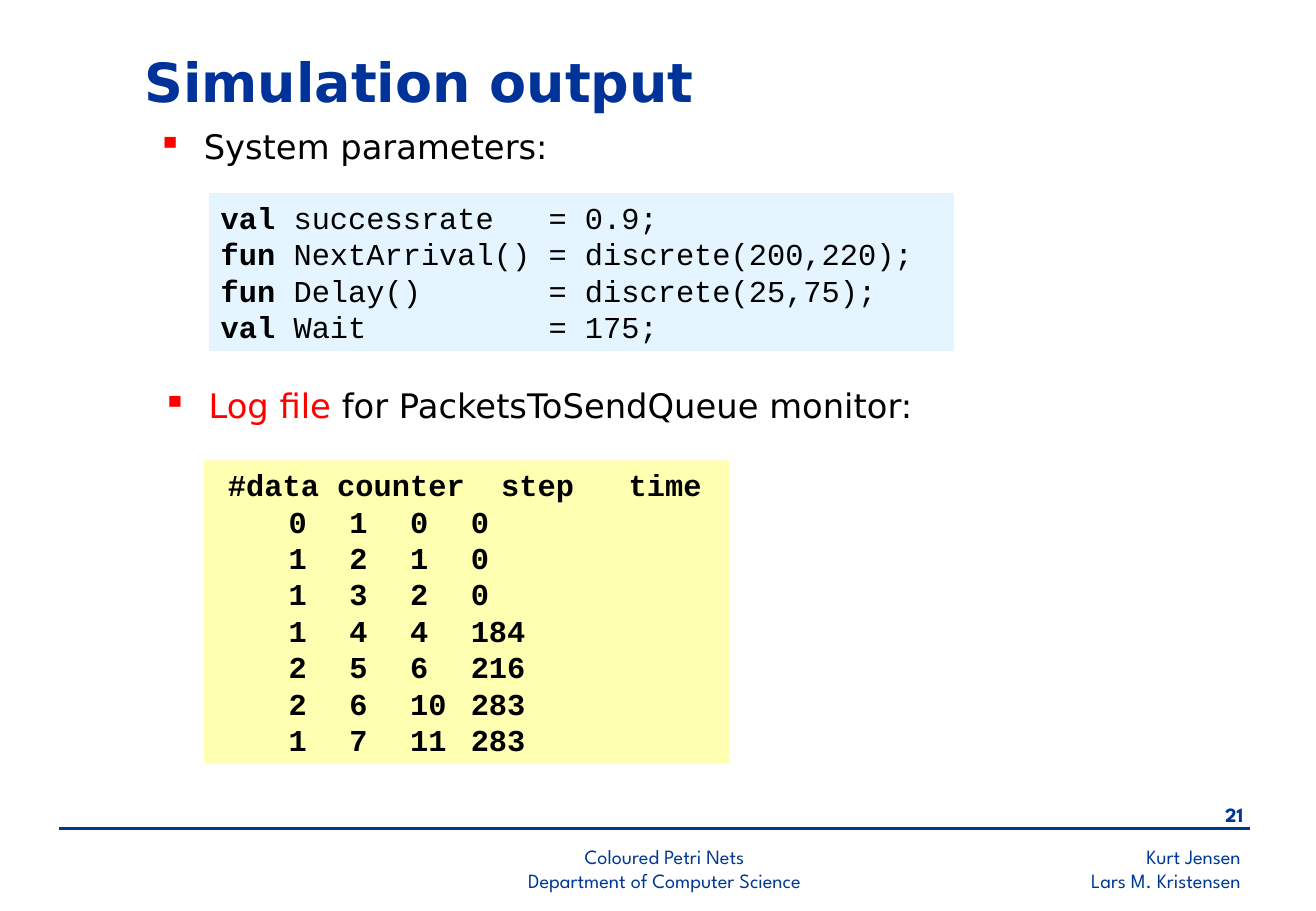
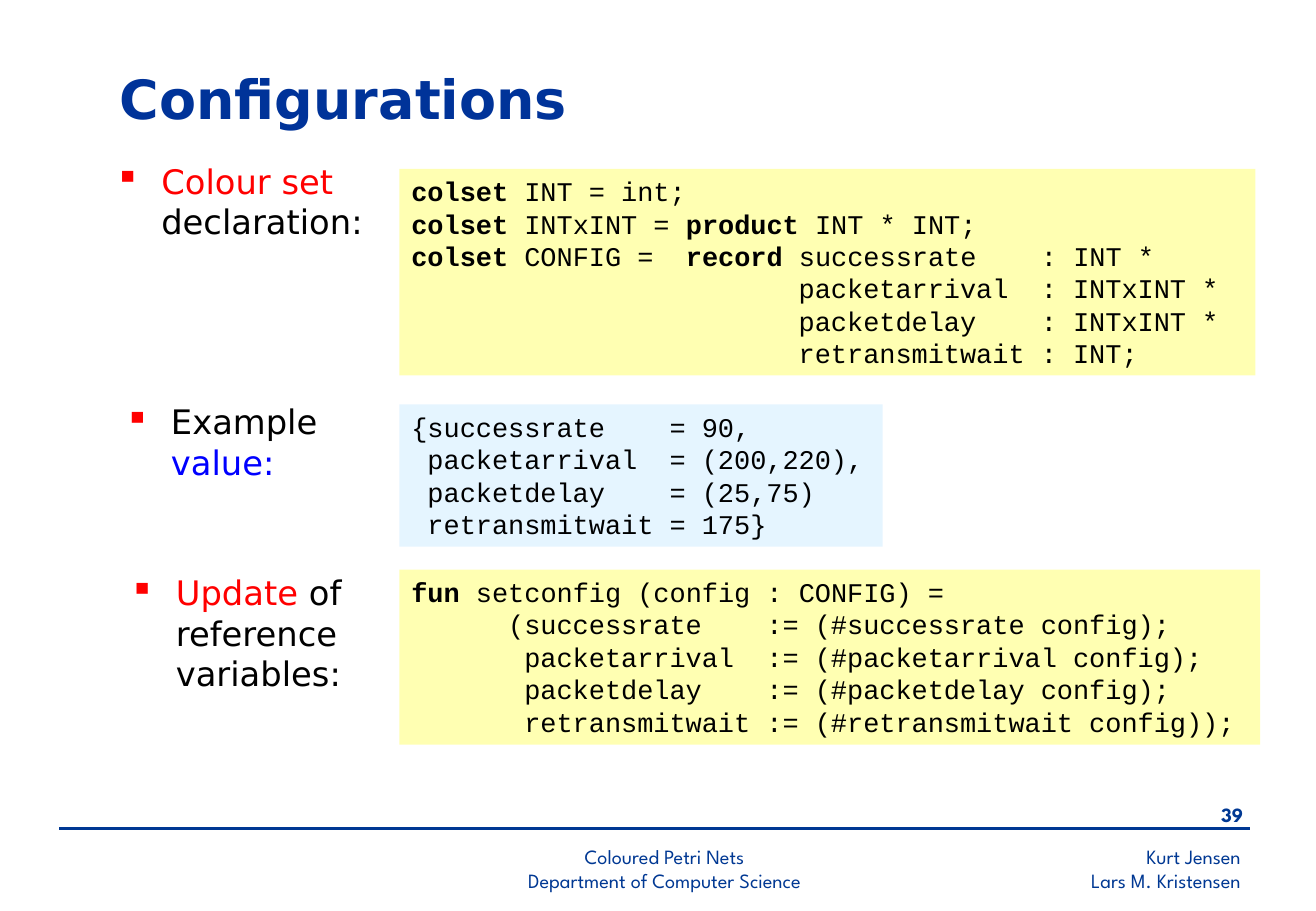
from lxml import etree
from pptx import Presentation
from pptx import util as u
from pptx.dml import color
from pptx.enum import shapes, text
from pptx.oxml import ns

COLOURS = {
    "footer": "003893",
    "title": "003399",
    "black": "000000",
    "red": "FF0000",
    "blue": "0000FF",
    "pale blue": "CCECFF",
    "yellow": "FFFF66",
}
BODY_FONT = "DejaVu Sans"
CODE_FONT = "Courier New"
FOOTER_FONT = "League Spartan"
LOG_TABS = [(0.39, "l"), (1.47, "l"), (2.75, "r"), (3.92, "r")]


def rgb(name):
    return color.RGBColor.from_string(COLOURS[name])


def add_element(parent, tag, **attributes):
    return etree.SubElement(parent, ns.qn(tag), attributes)


class Deck:
    def __init__(self):
        self.presentation = Presentation()
        self.presentation.slide_width = u.Inches(10.84)
        self.presentation.slide_height = u.Inches(7.5)
        self.slide = None

    def new_slide(self, number):
        self.slide = self.presentation.slides.add_slide(self.presentation.slide_layouts[6])
        right = text.PP_ALIGN.RIGHT
        self.footer(6.95, 6.9, 3.37, 0.5, ["Kurt Jensen", "Lars M. Kristensen"], right)
        self.footer(9.63, 6.56, 0.71, 0.33, [str(number)], right, bold=True)
        self.rule(0.49, 10.3, 6.82)
        self.footer(3.41, 6.9, 4.13, 0.47,
                    ["Coloured Petri Nets", "Department of Computer Science"],
                    text.PP_ALIGN.CENTER)

    def text_box(self, left, top, width, height):
        box = self.slide.shapes.add_textbox(*map(u.Inches, (left, top, width, height)))
        box.text_frame.word_wrap = True
        return box.text_frame

    def style(self, paragraph, font, size, colour=None, bold=None):
        paragraph.font.name = font
        paragraph.font.size = u.Pt(size)
        paragraph.font.bold = bold
        if colour:
            paragraph.font.color.rgb = rgb(colour)

    def footer(self, left, top, width, height, lines, alignment, bold=False):
        frame = self.text_box(left, top, width, height)
        frame.text = "\n".join(lines)
        for paragraph in frame.paragraphs:
            paragraph.alignment = alignment
            self.style(paragraph, FOOTER_FONT, 12, "footer", bold)

    def rule(self, left, right, top):
        line = self.slide.shapes.add_connector(
            shapes.MSO_CONNECTOR.STRAIGHT,
            u.Inches(left), u.Inches(top), u.Inches(right), u.Inches(top))
        line.line.color.rgb = rgb("footer")
        line.line.width = u.Pt(1.5)
        add_element(line._element.spPr, "a:effectLst")

    def title(self, left, top, width, words):
        frame = self.text_box(left, top, width, 0.69)
        frame.vertical_anchor = text.MSO_ANCHOR.MIDDLE
        frame.text = words
        self.style(frame.paragraphs[0], BODY_FONT, 32, "title", True)

    def bullet(self, left, top, width, height, *runs):
        paragraph = self.text_box(left, top, width, height).paragraphs[0]
        properties = paragraph._p.get_or_add_pPr()
        properties.set("marL", str(u.Inches(0.38)))
        properties.set("indent", str(u.Inches(-0.38)))
        add_element(add_element(properties, "a:buClr"), "a:srgbClr", val=COLOURS["red"])
        add_element(properties, "a:buChar", char="▪")
        self.style(paragraph, BODY_FONT, 20)
        for words, colour in runs:
            run = paragraph.add_run()
            run.text = words
            run.font.color.rgb = rgb(colour)

    def panel(self, left, top, width, height, fill):
        panel = self.slide.shapes.add_shape(
            shapes.MSO_SHAPE.RECTANGLE, *map(u.Inches, (left, top, width, height)))
        panel.shadow.inherit = False
        panel.line.fill.background()
        panel.fill.solid()
        panel.fill.fore_color.rgb = rgb(fill)
        fill_colour = panel._element.spPr.find(ns.qn("a:solidFill"))[0]
        add_element(fill_colour, "a:alpha", val="50000")
        panel.text_frame.word_wrap = True
        panel.text_frame.vertical_anchor = text.MSO_ANCHOR.TOP
        return panel.text_frame

    def lines(self, frame, lines):
        for index, line in enumerate(lines):
            paragraph = frame.add_paragraph() if index else frame.paragraphs[0]
            paragraph.alignment = text.PP_ALIGN.LEFT
            yield paragraph, line

    def code(self, left, top, width, height, fill, size, lines):
        frame = self.panel(left, top, width, height, fill)
        for paragraph, line in self.lines(frame, lines):
            self.style(paragraph, CODE_FONT, size, "black")
            for index, words in enumerate(line.split("|")):
                if words:
                    run = paragraph.add_run()
                    run.text = words
                    run.font.bold = index % 2 == 1

    def log(self, left, top, width, height, header, rows):
        frame = self.panel(left, top, width, height, "yellow")
        entries = ["".join(f"\t{value}" for value in row) for row in rows]
        for paragraph, line in self.lines(frame, [header] + entries):
            properties = paragraph._p.get_or_add_pPr()
            properties.set("marL", str(u.Inches(0.1)))
            properties.set("indent", "0")
            tabs = add_element(properties, "a:tabLst")
            for position, alignment in LOG_TABS:
                add_element(tabs, "a:tab", pos=str(u.Inches(position)), algn=alignment)
            self.style(paragraph, CODE_FONT, 18, "black", True)
            paragraph.add_run().text = line


def simulation_output(deck):
    deck.new_slide(21)
    deck.title(1.09, 0.32, 6.1, "Simulation output")
    deck.bullet(1.2, 0.99, 3.82, 0.47, ("System parameters:", "black"))
    deck.code(1.72, 1.59, 6.14, 1.3, "pale blue", 18, [
        "|val| successrate   = 0.9;",
        "|fun| NextArrival() = discrete(200,220);",
        "|fun| Delay()       = discrete(25,75);",
        "|val| Wait          = 175;",
    ])
    deck.log(1.68, 3.79, 4.33, 2.5, "#data counter  step   time", [
        (0, 1, 0, 0),
        (1, 2, 1, 0),
        (1, 3, 2, 0),
        (1, 4, 4, 184),
        (2, 5, 6, 216),
        (2, 6, 10, 283),
        (1, 7, 11, 283),
    ])
    deck.bullet(1.24, 3.12, 9.14, 0.51,
                ("Log file", "red"), (" for PacketsToSendQueue monitor:", "black"))


def configurations(deck):
    deck.new_slide(39)
    deck.title(0.89, 0.46, 9.17, "Configurations")
    deck.bullet(0.85, 1.27, 2.28, 0.79, ("Colour set", "red"), (" declaration:", "black"))
    deck.bullet(0.93, 3.25, 1.89, 0.79, ("Example ", "black"), ("value:", "blue"))
    deck.bullet(0.97, 4.66, 2.32, 1.53,
                ("Update", "red"), (" of reference variables:", "black"))
    deck.code(3.29, 1.39, 7.05, 1.7, "yellow", 16, [
        "|colset| INT = int;",
        "|colset| INTxINT = |product| INT * INT;",
        "|colset| CONFIG =  |record| successrate    : INT *",
        "                        packetarrival  : INTxINT *",
        "                        packetdelay    : INTxINT *",
        "                        retransmitwait : INT;",
    ])
    deck.code(3.29, 3.33, 3.98, 1.17, "pale blue", 16, [
        "{successrate    = 90,",
        " packetarrival  = (200,220),",
        " packetdelay    = (25,75)",
        " retransmitwait = 175}",
    ])
    deck.code(3.29, 4.69, 7.09, 1.44, "yellow", 16, [
        "|fun| setconfig (config : CONFIG) =",
        "      (successrate    := (#successrate config);",
        "       packetarrival  := (#packetarrival config);",
        "       packetdelay    := (#packetdelay config);",
        "       retransmitwait := (#retransmitwait config));",
    ])


def main():
    deck = Deck()
    simulation_output(deck)
    configurations(deck)
    deck.presentation.save("out.pptx")


if __name__ == "__main__":
    main()
